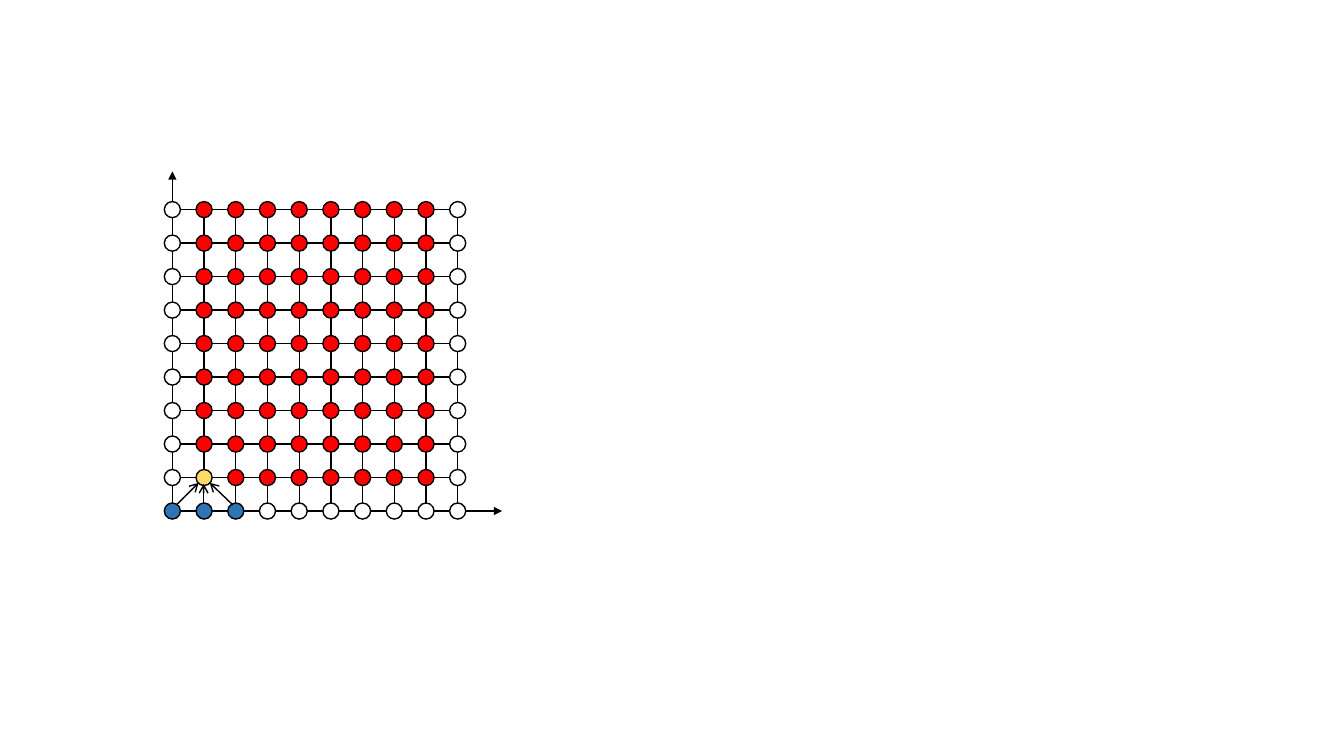
import pptx
import pptx.dml.color
import pptx.enum.shapes
import pptx.oxml.ns
import pptx.util
from lxml import etree

Inches = pptx.util.Inches

BLACK, WHITE = "000000", "FFFFFF"
RED, BLUE, YELLOW = "FF0000", "2E75B6", "FFD966"

COUNT = 10
LAST = COUNT - 1
LEFT, RIGHT, TOP, BOTTOM = 1.71, 4.54, 2.08, 5.07
COLUMNS = [LEFT + i * (RIGHT - LEFT) / LAST for i in range(COUNT)]
ROWS = [TOP + i * (BOTTOM - TOP) / LAST for i in range(COUNT)]
DIAMETER = 0.16
OVERHANG = 0.08


def color(value):
    return pptx.dml.color.RGBColor.from_string(value)


def style_outline(line):
    line.color.rgb = color(BLACK)
    line.width = pptx.util.Pt(1)


def add_line(s, x1, y1, x2, y2, tip=None):
    """Draw a line whose end carries the arrowhead type given by tip."""
    line = s.shapes.add_connector(
        pptx.enum.shapes.MSO_CONNECTOR.STRAIGHT,
        Inches(x1), Inches(y1), Inches(x2), Inches(y2))
    style_outline(line.line)
    qn = pptx.oxml.ns.qn
    if tip:
        etree.SubElement(line.line._get_or_add_ln(), qn("a:tailEnd"), type=tip)
    etree.SubElement(line._element.spPr, qn("a:effectLst"))


def add_node(s, column, row, fill):
    node = s.shapes.add_shape(
        pptx.enum.shapes.MSO_SHAPE.OVAL,
        Inches(COLUMNS[column] - DIAMETER / 2),
        Inches(ROWS[row] - DIAMETER / 2),
        Inches(DIAMETER), Inches(DIAMETER))
    node.shadow.inherit = False
    node.fill.solid()
    node.fill.fore_color.rgb = color(fill)
    style_outline(node.line)


def node_color(column, row):
    if row == LAST:
        return BLUE if column <= 2 else WHITE
    if (column, row) == (1, LAST - 1):
        return YELLOW
    return WHITE if column in (0, LAST) else RED


def add_grid_lines(s):
    for i, x in enumerate(COLUMNS[1:], 1):
        end = ROWS[-2] if i == 1 else BOTTOM
        add_line(s, x, TOP - OVERHANG, x, end + OVERHANG)
    for y in ROWS[:-1]:
        add_line(s, LEFT - OVERHANG, y, RIGHT + OVERHANG, y)


def add_axes(s):
    add_line(s, LEFT, BOTTOM + OVERHANG, LEFT, 1.7, "triangle")
    add_line(s, LEFT - OVERHANG, BOTTOM, 4.98, BOTTOM, "triangle")


def add_stencil_arrows(s):
    """Point from the three bottom nodes to the node being computed."""
    add_line(s, 2.02, 5.06, 2.02, 4.8, "arrow")
    add_line(s, 1.76, 5, 1.97, 4.79, "arrow")
    add_line(s, 2.31, 5.01, 2.08, 4.79, "arrow")


def main():
    prs = pptx.Presentation()
    prs.slide_width, prs.slide_height = Inches(13.33), Inches(7.5)
    s = prs.slides.add_slide(prs.slide_layouts[6])

    add_grid_lines(s)
    add_axes(s)
    middle = (1, LAST)
    for column in range(COUNT):
        for row in range(COUNT):
            if (column, row) != middle:
                add_node(s, column, row, node_color(column, row))
    add_stencil_arrows(s)
    add_node(s, *middle, node_color(*middle))

    prs.save("out.pptx")


if __name__ == "__main__":
    main()
